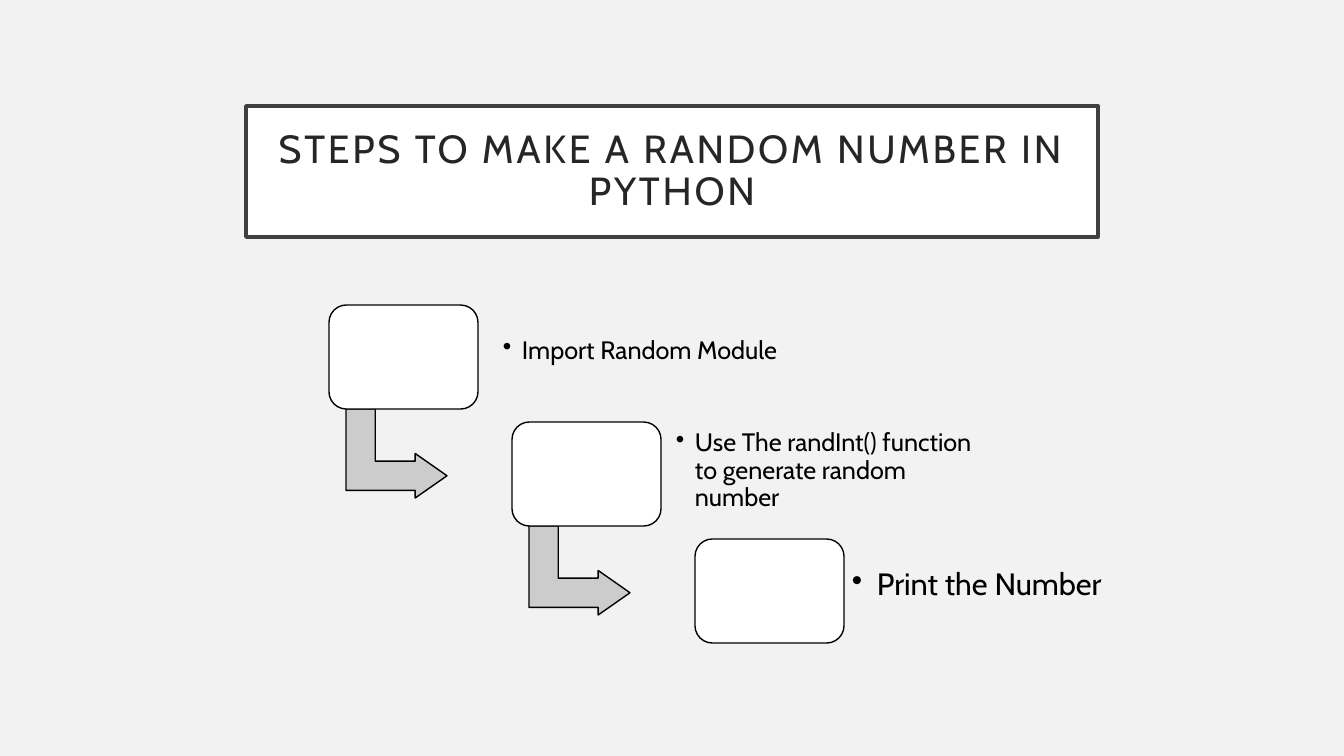
from dataclasses import dataclass

from lxml.etree import SubElement
from pptx import Presentation
from pptx.dml.color import RGBColor
from pptx.enum.shapes import MSO_SHAPE
from pptx.enum.text import MSO_ANCHOR, PP_ALIGN
from pptx.oxml.ns import qn
from pptx.util import Pt

EMU_PER_PX = 914400 / 100.8


@dataclass(frozen=True)
class Theme:
    font: str = "Cabin"
    background: str = "F2F2F2"
    panel: str = "FFFFFF"
    frame: str = "404040"
    title: str = "262626"
    ink: str = "000000"
    arrow: str = "CCCCCC"
    title_size: int = 28
    step_size: int = 18
    last_step_size: int = 22


@dataclass(frozen=True)
class Step:
    text: str
    label: tuple  # left, top, width and height, measured from the step's box
    size: int
    inset: int
    indent: int


THEME = Theme()
STEPS = (
    Step("Import Random Module", (164, 4, 357, 84), THEME.step_size, 10, 19),
    Step("Use The randInt() function to generate random number",
         (154, 7, 337, 84), THEME.step_size, 10, 19),
    Step("Print the Number", (145, 5, 278, 84), THEME.last_step_size, 12, 25),
)


def px(length):
    return round(length * EMU_PER_PX)


def color(value):
    return RGBColor.from_string(value)


def add_panel(page, kind, box, fill, line, weight, adjustments=()):
    shape = page.shapes.add_shape(kind, *map(px, box))
    shape.shadow.inherit = False
    shape.fill.solid()
    shape.fill.fore_color.rgb = color(fill)
    shape.line.color.rgb = color(line)
    shape.line.width = Pt(weight)
    for index, value in enumerate(adjustments):
        shape.adjustments[index] = value
    return shape


def write_text(shape, text, *, size, ink, inset, align=PP_ALIGN.LEFT,
               spacing=0, bullet_indent=0):
    """Fill a shape with one paragraph; spacing is in points, indents in px."""
    frame = shape.text_frame
    frame.word_wrap = True
    frame.vertical_anchor = MSO_ANCHOR.MIDDLE
    frame.margin_left = frame.margin_right = px(inset)
    frame.margin_top = frame.margin_bottom = px(inset)
    para = frame.paragraphs[0]
    para.alignment = align
    para.line_spacing = 0.9
    span = para.add_run()
    span.text = text
    span.font.name = THEME.font
    span.font.size = Pt(size)
    span.font.color.rgb = color(ink)
    if spacing:
        span.font._element.set("spc", str(spacing * 100))
    if bullet_indent:
        properties = para._p.get_or_add_pPr()
        properties.set("marL", str(px(bullet_indent)))
        properties.set("indent", str(-px(bullet_indent)))
        SubElement(properties, qn("a:buChar"), char="•")


def add_title(page, box):
    panel = add_panel(page, MSO_SHAPE.RECTANGLE, box, THEME.panel, THEME.frame, 2.5)
    write_text(panel, "STEPS TO MAKE A RANDOM NUMBER IN PYTHON",
               size=THEME.title_size, ink=THEME.title, inset=20,
               align=PP_ALIGN.CENTER, spacing=2)


def add_step(page, step, box, has_next):
    left, top, _, _ = box
    if has_next:
        arrow = add_panel(page, MSO_SHAPE.BENT_UP_ARROW, (left + 23, top + 98, 89, 101),
                          THEME.arrow, THEME.ink, 1, (0.328, 0.25, 0.358))
        arrow.rotation = 90
    add_panel(page, MSO_SHAPE.ROUNDED_RECTANGLE, box, THEME.panel, THEME.ink, 1, (0.167,))
    across, down, width, height = step.label
    label = page.shapes.add_textbox(*map(px, (left + across, top + down, width, height)))
    write_text(label, step.text, size=step.size, ink=THEME.ink,
               inset=step.inset, bullet_indent=step.indent)


def add_staircase(page, box):
    """Set the steps from the top left to the bottom right of the box."""
    left, top, width, height = box
    step_width, step_height = 149, 104
    gaps = len(STEPS) - 1
    across = (width - step_width) // gaps
    down = (height - step_height) // gaps
    for index, step in enumerate(STEPS):
        step_box = (left + index * across, top + index * down, step_width, step_height)
        add_step(page, step, step_box, index < gaps)


def main():
    deck = Presentation()
    deck.slide_width, deck.slide_height = px(1344), px(756)
    page = deck.slides.add_slide(deck.slide_layouts[6])
    page.background.fill.solid()
    page.background.fill.fore_color.rgb = color(THEME.background)
    add_title(page, (246, 106, 852, 131))
    add_staircase(page, (329, 305, 515, 338))
    deck.save("out.pptx")


if __name__ == "__main__":
    main()
